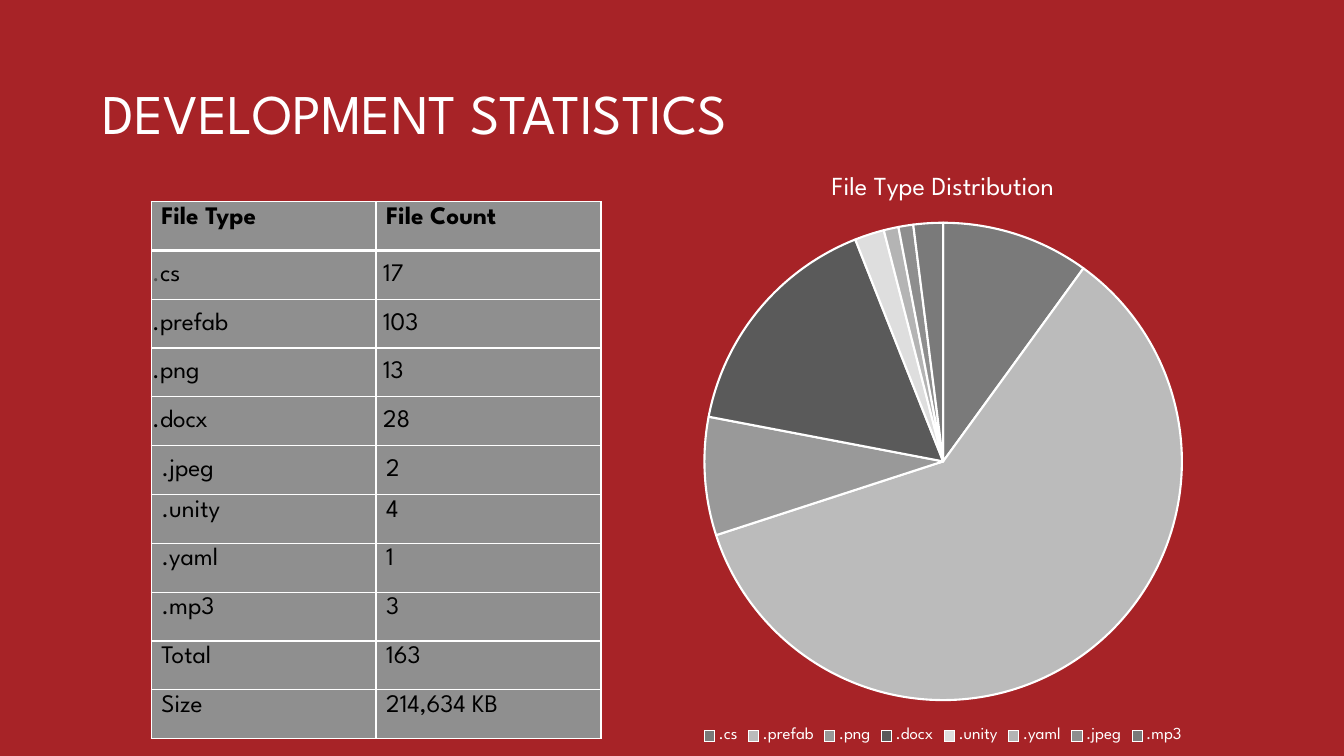
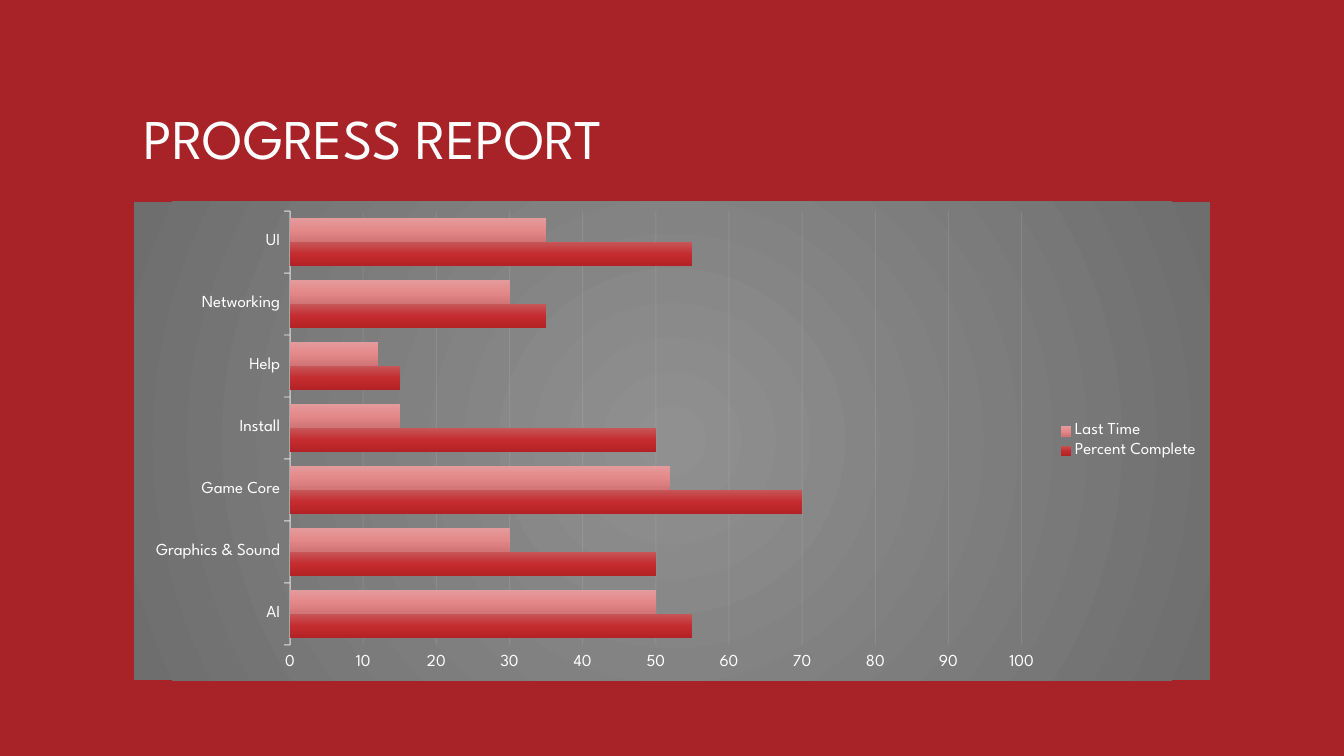
from pptx import Presentation
from pptx.chart.data import CategoryChartData
from pptx.dml.color import RGBColor
from pptx.enum.chart import XL_CHART_TYPE, XL_LEGEND_POSITION, XL_TICK_MARK
from pptx.enum.text import MSO_ANCHOR
from pptx.oxml import parse_xml
from pptx.oxml.ns import nsdecls, qn
from pptx.util import Inches, Pt

RED = RGBColor(0xA7, 0x23, 0x27)
WHITE = RGBColor(0xFF, 0xFF, 0xFF)
BLACK = RGBColor(0, 0, 0)
DARK_GREY = RGBColor(0x54, 0x54, 0x54)
CELL_GREY = RGBColor(0x8F, 0x8F, 0x8F)
LIGHT_GREY = RGBColor(0xF2, 0xF2, 0xF2)
FONT = "League Spartan"
PIE, BAR = XL_CHART_TYPE.PIE, XL_CHART_TYPE.BAR_CLUSTERED
BOTTOM, RIGHT = XL_LEGEND_POSITION.BOTTOM, XL_LEGEND_POSITION.RIGHT
TICK_OUTSIDE = XL_TICK_MARK.OUTSIDE
ANCHOR_TOP, ANCHOR_MIDDLE, ANCHOR_BOTTOM = MSO_ANCHOR.TOP, MSO_ANCHOR.MIDDLE, MSO_ANCHOR.BOTTOM


def style_font(font, size, color, bold=False):
    font.name = FONT
    font.size = Pt(size)
    font.bold = bold
    font.color.rgb = color


def gradient(stops, direction):
    stop_xml = "".join(
        f'<a:gs pos="{position * 1000}"><a:srgbClr val="{color}"/></a:gs>'
        for position, color in stops)
    return f'<a:gradFill {nsdecls("a")}><a:gsLst>{stop_xml}</a:gsLst>{direction}</a:gradFill>'


# Content
titles = [("DEVELOPMENT STATISTICS", 0.92, 0.05), ("PROGRESS REPORT", 1.33, 0.3)]

file_rows = [
    ("File Type", "File Count"), (".cs", "17"), (".prefab", "103"), (".png", "13"),
    (".docx", "28"), (".jpeg", "2"), (".unity", "4"), (".yaml", "1"), (".mp3", "3"),
    ("Total", "163"), ("Size", "214,634 KB"),
]
TIGHT_ROWS = range(1, 5)
MIDDLE_ROWS = range(1, 6)

pie_slices = [
    (".cs", 10, "7A7A7A"), (".prefab", 60, "BBBBBB"), (".png", 8, "999999"),
    (".docx", 16, "5A5A5A"), (".unity", 2, "DEDEDE"), (".yaml", 1, "B4B4B4"),
    (".jpeg", 1, "8E8E8E"), (".mp3", 2, "7A7A7A"),
]
areas = ["AI", "Graphics & Sound", "Game Core", "Install", "Help", "Networking", "UI"]
progress = {
    "Percent Complete": ([55, 50, 70, 50, 15, 35, 55], ["C75658", "C42C30", "B42124"]),
    "Last Time": ([50, 30, 52, 15, 12, 30, 35], ["E49B9C", "E4898A", "D07475"]),
}
chart_formats = [
    {"type": PIE, "categories": [row[0] for row in pie_slices],
     "series": {"Series 1": [row[1] for row in pie_slices]},
     "at": (4.91, 1.5, 8.89, 5.92), "legend": BOTTOM, "color": DARK_GREY,
     "plot": (0.23, 0.12, 0.54, 0.8)},
    {"type": BAR, "categories": areas,
     "series": {name: values for name, (values, colors) in progress.items()},
     "at": (1.33, 2, 10.67, 4.75), "legend": RIGHT, "color": BLACK,
     "plot": (0.145, 0.02, 0.68, 0.906)},
]

# Slides with background, title and chart
presentation = Presentation()
presentation.slide_width = Inches(13.33)
presentation.slide_height = Inches(7.5)
slides, charts = [], []
for (title, left, top), chart_format in zip(titles, chart_formats):
    slide = presentation.slides.add_slide(presentation.slide_layouts[6])
    slide.background.fill.solid()
    slide.background.fill.fore_color.rgb = RED
    slides.append(slide)

    title_box = slide.shapes.add_textbox(Inches(left), Inches(top), Inches(10.67), Inches(1.45))
    title_frame = title_box.text_frame
    title_frame.word_wrap = True
    title_frame.vertical_anchor = ANCHOR_BOTTOM
    paragraph = title_frame.paragraphs[0]
    paragraph.line_spacing = 0.9
    run = paragraph.add_run()
    run.text = title
    style_font(run.font, 40, WHITE)

    chart_data = CategoryChartData()
    chart_data.categories = chart_format["categories"]
    for name, values in chart_format["series"].items():
        chart_data.add_series(name, values)
    chart = slide.shapes.add_chart(
        chart_format["type"], *map(Inches, chart_format["at"]), chart_data).chart
    style_font(chart.font, 10, chart_format["color"])
    chart.has_title = False
    chart.has_legend = True
    chart.legend.position = chart_format["legend"]
    chart.legend.include_in_layout = False
    style_font(chart.legend.font, 12, WHITE)
    charts.append(chart)

    # Fixed place of the plot inside the chart
    x, y, width, height = chart_format["plot"]
    plot_area = chart._chartSpace.chart.plotArea
    for old_layout in plot_area.findall(qn("c:layout")):
        plot_area.remove(old_layout)
    plot_area.insert(0, parse_xml(
        f'<c:layout {nsdecls("c")}><c:manualLayout><c:layoutTarget val="inner"/>'
        f'<c:xMode val="edge"/><c:yMode val="edge"/><c:x val="{x}"/><c:y val="{y}"/>'
        f'<c:w val="{width}"/><c:h val="{height}"/></c:manualLayout></c:layout>'))

statistics_slide = slides[0]
pie_chart, bar_chart = charts

# File count table
table = statistics_slide.shapes.add_table(
    len(file_rows), 2, Inches(1.5), Inches(2), Inches(4.46), Inches(5.33)).table
table.first_row = False
table.horz_banding = False
for row_index, row_texts in enumerate(file_rows):
    for column_index, text in enumerate(row_texts):
        cell = table.cell(row_index, column_index)
        cell.fill.solid()
        cell.fill.fore_color.rgb = CELL_GREY
        cell.vertical_anchor = ANCHOR_MIDDLE if row_index in MIDDLE_ROWS else ANCHOR_TOP
        if row_index in TIGHT_ROWS:
            cell.margin_left = Inches((0.01, 0.07)[column_index])
            cell.margin_top = cell.margin_right = Inches(0.01)
            cell.margin_bottom = 0
        parts = [(text, BLACK)]
        if text == ".cs":
            parts = [(".", DARK_GREY), ("cs", BLACK)]
        for part, color in parts:
            run = cell.text_frame.paragraphs[0].add_run()
            run.text = part
            style_font(run.font, 18, color, bold=row_index == 0)

        # Borders, thicker under the header
        heavy_sides = {0: "B", 1: "T"}.get(row_index, "")
        for position, side in enumerate("LRTB"):
            points = 3 if side == heavy_sides else 1
            cell._tc.get_or_add_tcPr().insert(position, parse_xml(
                f'<a:ln{side} {nsdecls("a")} w="{Pt(points)}"><a:solidFill>'
                f'<a:srgbClr val="{WHITE}"/></a:solidFill></a:ln{side}>'))

# File type pie
chart_title = pie_chart.chart_title
run = chart_title.text_frame.paragraphs[0].add_run()
run.text = "File Type Distribution"
style_font(run.font, 18.6, WHITE)
chart_title.include_in_layout = False
chart_title._element.find(qn("c:tx")).addnext(parse_xml(
    f'<c:layout {nsdecls("c")}><c:manualLayout><c:xMode val="edge"/><c:yMode val="edge"/>'
    '<c:x val="0.37"/><c:y val="0.037"/></c:manualLayout></c:layout>'))
pie_chart.plots[0].vary_by_categories = True
for index, (label, value, color) in enumerate(pie_slices):
    slice_format = pie_chart.series[0].points[index].format
    slice_format.fill.solid()
    slice_format.fill.fore_color.rgb = RGBColor.from_string(color)
    slice_format.line.color.rgb = WHITE
    slice_format.line.width = Pt(1.5)

# Progress bars
bar_plot = bar_chart.plots[0]
bar_plot.vary_by_categories = False
bar_plot.gap_width = 55
bar_plot.overlap = 0
for series in bar_plot.series:
    stops = zip((0, 50, 100), progress[series.name][1])
    series._element.get_or_add_spPr().insert(
        0, parse_xml(gradient(stops, '<a:lin ang="5400000" scaled="0"/>')))

# Progress axes
category_axis, value_axis = bar_chart.category_axis, bar_chart.value_axis
for axis in (category_axis, value_axis):
    axis.major_tick_mark = TICK_OUTSIDE
    style_font(axis.tick_labels.font, 12, WHITE)
value_axis.minimum_scale = 0
value_axis.maximum_scale = 100
value_axis.major_unit = 10
value_axis.has_major_gridlines = True
value_axis.format.line.fill.background()
category_axis.has_major_gridlines = False
for line, points, opacity in ((category_axis.format.line, 1, 54),
                              (value_axis.major_gridlines.format.line, 0.75, 10)):
    line.color.rgb = LIGHT_GREY
    line.width = Pt(points)
    for color in line._get_or_add_ln().iter(qn("a:srgbClr")):
        color.append(parse_xml(f'<a:alpha {nsdecls("a")} val="{opacity * 1000}"/>'))

# Radial grey backdrop of the progress chart
backdrop = gradient(
    [(0, "909090"), (100, "6E6E6E")],
    '<a:path path="circle"><a:fillToRect l="50000" t="50000" r="50000" b="50000"/></a:path>')
bar_chart._chartSpace.chart.addnext(parse_xml(
    f'<c:spPr {nsdecls("c", "a")}>{backdrop}<a:ln><a:noFill/></a:ln></c:spPr>'))

presentation.save("out.pptx")
